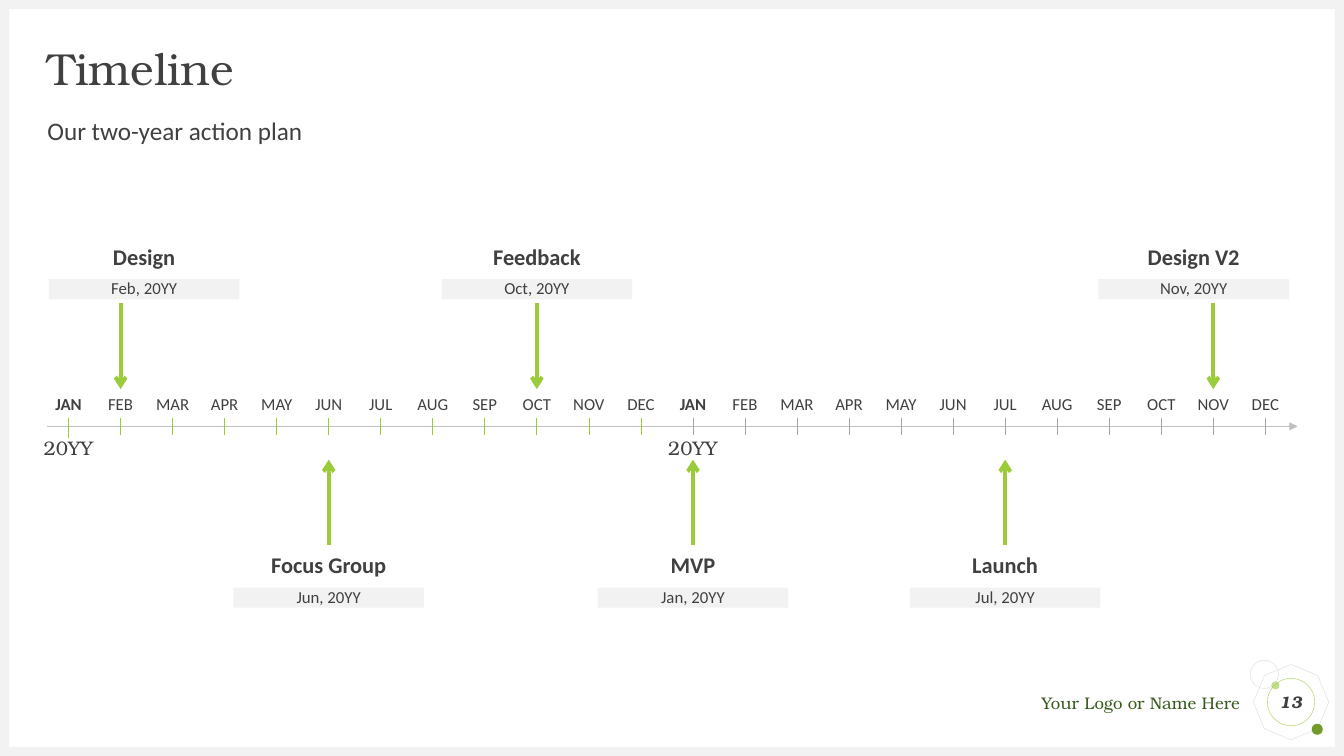
from lxml.etree import SubElement
from pptx import Presentation
from pptx.dml.color import RGBColor
from pptx.enum.shapes import MSO_CONNECTOR, MSO_SHAPE
from pptx.enum.text import MSO_ANCHOR, PP_ALIGN
from pptx.oxml.ns import qn
from pptx.util import Inches, Pt

TITLE = "Timeline"
SUBTITLE = "Our two-year action plan"
FOOTER = "Your Logo or Name Here"
PAGE_NUMBER = "13"
YEARS = ["20YY", "20YY"]
MONTHS = ["JAN", "FEB", "MAR", "APR", "MAY", "JUN",
          "JUL", "AUG", "SEP", "OCT", "NOV", "DEC"]
# name, date, month counted from the first January, side of the axis
MILESTONES = [
    ("Design", "Feb, 20YY", 1, "above"),
    ("Focus Group", "Jun, 20YY", 5, "below"),
    ("Feedback", "Oct, 20YY", 9, "above"),
    ("MVP", "Jan, 20YY", 12, "below"),
    ("Launch", "Jul, 20YY", 18, "below"),
    ("Design V2", "Nov, 20YY", 22, "above"),
]

THEME = {
    "ink": "404040", "green": "9ACB39", "dark_green": "375C1E",
    "leaf": "749A29", "pale_green": "C2E088", "panel": "F2F2F2",
    "outline": "D9D9D9", "axis": "BFBFBF", "tick": "A6A6A6",
    "serif": "TeX Gyre Bonum", "sans": "Calibri",
    "title": 32, "subtitle": 18, "milestone": 16, "year": 14, "small": 12,
}

WIDTH, HEIGHT, BORDER = 13.33, 7.5, 0.09
AXIS_LEFT, AXIS_RIGHT, AXIS_Y = 0.47, 12.87, 4.23
FIRST_MONTH, LAST_MONTH = 0.68, 12.55
MONTH_COUNT = len(YEARS) * len(MONTHS)
MONTH_STEP = (LAST_MONTH - FIRST_MONTH) / (MONTH_COUNT - 1)
FIRST_CENTER, LAST_CENTER = 1.43, 11.84  # keeps the outer labels on the slide
SIDES = {  # top of the name, start and end of the arrow
    "above": (2.4, 3.01, 3.86),
    "below": (5.46, 5.41, 4.56),
}

deck = Presentation()
deck.slide_width, deck.slide_height = Inches(WIDTH), Inches(HEIGHT)
slide = deck.slides.add_slide(deck.slide_layouts[6])


def color(name):
    return RGBColor.from_string(THEME[name])


def write(holder, text, size, font="sans", ink="ink", align=PP_ALIGN.CENTER,
          anchor=MSO_ANCHOR.TOP, top_inset=0, spacing=0.9, before=10, **style):
    frame = holder.text_frame
    frame_format = {"word_wrap": True, "vertical_anchor": anchor,
                    "margin_left": 0, "margin_right": 0,
                    "margin_top": Inches(top_inset), "margin_bottom": 0}
    paragraph = frame.paragraphs[0]
    paragraph_format = {"alignment": align, "line_spacing": spacing,
                        "space_before": Pt(before)}
    run = paragraph.add_run()
    run.text = text
    font_format = {"name": THEME[font], "size": Pt(THEME[size]), **style}
    for target, values in ((frame, frame_format), (paragraph, paragraph_format),
                           (run.font, font_format)):
        for attribute, value in values.items():
            setattr(target, attribute, value)
    run.font.color.rgb = color(ink)


def label(box, text, size, **options):
    write(slide.shapes.add_textbox(*map(Inches, box)), text, size, **options)


def shape(kind, box, fill=None, line=None):
    part = slide.shapes.add_shape(kind, *map(Inches, box))
    part.shadow.inherit = False
    if fill:
        part.fill.solid()
        part.fill.fore_color.rgb = color(fill)
    else:
        part.fill.background()
    if line:
        part.line.color.rgb = color(line)
        part.line.width = Pt(0.25)
    else:
        part.line.fill.background()
    return part


def line(start, end, ink, weight, head=None):
    connector = slide.shapes.add_connector(
        MSO_CONNECTOR.STRAIGHT, *map(Inches, (*start, *end)))
    connector.line.color.rgb = color(ink)
    connector.line.width = Pt(weight)
    if head:
        SubElement(connector.line._get_or_add_ln(), qn("a:tailEnd"), type=head)
    SubElement(connector._element.spPr, qn("a:effectLst"))


def month_x(index):
    return FIRST_MONTH + index * MONTH_STEP


def draw_frame():
    """Border, page badge, footer and headings."""
    shape(MSO_SHAPE.OCTAGON, (12.46, 6.62, 0.69, 0.69), line="outline").rotation = 22.7
    for left, top, size, fill, outline in [
            (12.61, 6.76, 0.08, "pale_green", None),
            (13.01, 7.18, 0.11, "leaf", None),
            (12.4, 6.55, 0.28, None, "outline")]:
        shape(MSO_SHAPE.OVAL, (left, top, size, size), fill, outline)
    for box in [(0, HEIGHT - BORDER, WIDTH, BORDER), (0, 0, WIDTH, BORDER),
                (0, 0, BORDER, HEIGHT), (WIDTH - BORDER, 0, BORDER, HEIGHT)]:
        shape(MSO_SHAPE.RECTANGLE, box, "panel")
    label((9.55, 6.87, 2.75, 0.2), FOOTER, "small", font="serif",
          ink="dark_green", align=PP_ALIGN.RIGHT, spacing=1, before=0)
    badge = shape(MSO_SHAPE.OVAL, (12.57, 6.73, 0.47, 0.47), line="green")
    write(badge, PAGE_NUMBER, "small", font="serif", anchor=MSO_ANCHOR.MIDDLE,
          spacing=1, before=0, bold=True, italic=True)
    label((AXIS_LEFT, 0.47, 12.4, 0.47), TITLE, "title", font="serif",
          align=PP_ALIGN.LEFT, anchor=MSO_ANCHOR.MIDDLE, before=0)
    label((AXIS_LEFT, 1.18, 12.4, 0.3), SUBTITLE, "subtitle", align=PP_ALIGN.LEFT)


def draw_axis():
    line((AXIS_LEFT, AXIS_Y), (AXIS_RIGHT, AXIS_Y), "axis", 0.5, "triangle")
    for index in range(MONTH_COUNT):
        year, month = divmod(index, len(MONTHS))
        x = month_x(index)
        label((x - 0.205, 3.93, 0.41, 0.22), MONTHS[month], "small", bold=month == 0)
        if month == 0:
            label((x - 0.3, 4.35, 0.6, 0.22), YEARS[year], "year", font="serif",
                  anchor=MSO_ANCHOR.MIDDLE)
        tick_ink, tick_weight = ("tick", 0.25) if year else ("green", 0.5)
        tick_end = 4.35 if index == 0 else 4.32
        line((x, 4.15), (x, tick_end), tick_ink, tick_weight)


def draw_milestones():
    for name, date, month, side in MILESTONES:
        top, arrow_start, arrow_end = SIDES[side]
        x = month_x(month)
        center = min(max(x, FIRST_CENTER), LAST_CENTER)
        label((center - 0.98, top, 1.96, 0.61), name, "milestone",
              top_inset=0.04, bold=True)
        date_bar = shape(MSO_SHAPE.RECTANGLE,
                         (center - 0.945, top + 0.37, 1.89, 0.2), "panel")
        write(date_bar, date, "small", anchor=MSO_ANCHOR.MIDDLE)
        line((x, arrow_start), (x, arrow_end), "green", 2.75, "arrow")


draw_frame()
draw_axis()
draw_milestones()
deck.save("out.pptx")
